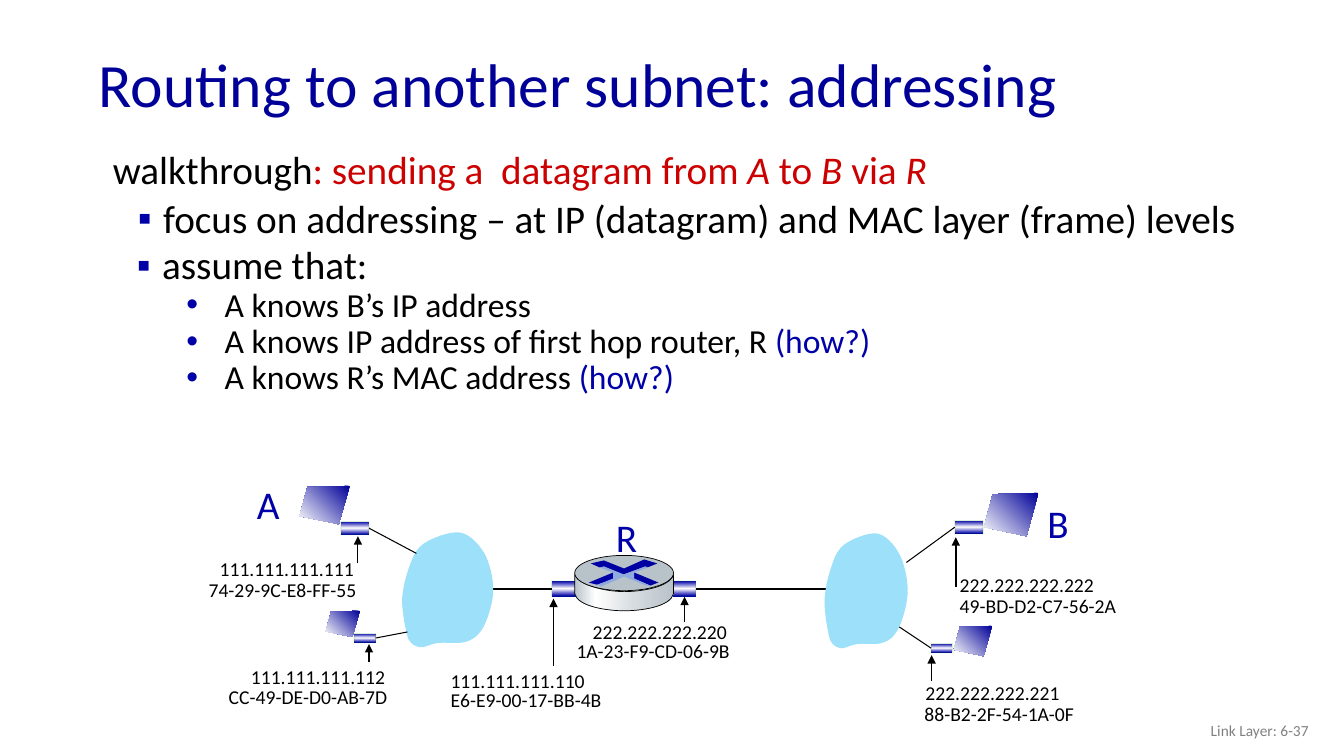
from dataclasses import dataclass

from lxml import etree
from pptx import Presentation
from pptx import util as u
from pptx.dml.color import RGBColor
from pptx.enum import shapes, text
from pptx.oxml.ns import qn


@dataclass(frozen=True)
class Theme:
    font: str = "Calibri"
    title: str = "000099"
    blue: str = "0000A8"
    red: str = "CC0000"
    black: str = "000000"
    grey: str = "808080"
    cloud: str = "9CE0FA"
    steel: str = "B8C2C9"
    pale_steel: str = "D6DCE0"
    router_arrow: str = "0000A3"
    arrow_blue: str = "8FAADC"
    port_edge: str = "008000"
    white: str = "FFFFFF"
    title_size: int = 44
    body_size: int = 28
    sub_size: int = 24
    label_size: int = 14
    footer_size: int = 11


THEME = Theme()
PORT_STOPS = [(0, THEME.blue), (50, THEME.white), (99, THEME.blue)]
SCREEN_STOPS = [(0, THEME.title), (100, THEME.white)]
ROUTER_STOPS = [(0, THEME.steel), (21, THEME.white), (60, THEME.pale_steel), (100, THEME.steel)]

CLOUD = [
    (4.26, 5.36), (4.18, 5.4, 4.14, 5.44, 4.1, 5.52), (4.06, 5.61, 4.01, 5.76, 4, 5.85),
    (3.98, 5.95, 3.99, 6.02, 4, 6.1), (4.01, 6.18, 4.03, 6.28, 4.05, 6.34),
    (4.08, 6.39, 4.11, 6.41, 4.16, 6.42), (4.21, 6.43, 4.26, 6.39, 4.34, 6.38),
    (4.41, 6.37, 4.54, 6.39, 4.61, 6.37), (4.69, 6.35, 4.74, 6.31, 4.79, 6.23),
    (4.83, 6.16, 4.88, 6.01, 4.89, 5.9), (4.9, 5.78, 4.87, 5.63, 4.82, 5.52),
    (4.77, 5.42, 4.68, 5.32, 4.59, 5.29), (4.5, 5.26, 4.34, 5.32, 4.26, 5.36),
]
ROUTER_SIDE = [
    (6.68, 5.7), (6.68, 5.89), (6.65, 6.02, 6.36, 6.06, 6.19, 6.06),
    (6.03, 6.06, 5.73, 6.02, 5.7, 5.89), (5.7, 5.84, 5.7, 5.75, 5.7, 5.7),
    (5.74, 5.81, 6.02, 5.87, 6.19, 5.87), (6.35, 5.87, 6.64, 5.83, 6.68, 5.7),
]
ROUTER_ARROWS = [
    (THEME.router_arrow, [(6.39, 5.55), (6.52, 5.59), (6.42, 5.63), (6.4, 5.62), (6.18, 5.7),
                          (5.99, 5.62), (5.95, 5.63), (5.86, 5.59), (5.99, 5.56), (6.19, 5.64)]),
    (THEME.router_arrow, [(6.29, 5.68), (6.53, 5.78), (6.45, 5.81), (6.29, 5.74)]),
    (THEME.blue, [(6.08, 5.68), (6.08, 5.75), (5.92, 5.8), (5.84, 5.78)]),
    (THEME.arrow_blue, [(5.95, 5.63), (5.99, 5.62), (6.19, 5.7), (6.4, 5.62), (6.43, 5.63),
                        (6.29, 5.68), (6.29, 5.74), (6.45, 5.81), (6.41, 5.81), (6.19, 5.72),
                        (5.96, 5.82), (5.93, 5.8), (6.08, 5.74), (6.08, 5.68)]),
]
SCREEN = [(1, 0), (0.16, 0.03), (0, 0.79), (0.78, 1)]
ADDRESSES = [
    (2.08, 5.48, 1.55, "111.111.111.111"), (1.97, 5.68, 1.68, "74-29-9C-E8-FF-55"),
    (2.39, 6.55, 1.55, "111.111.111.112"), (2.17, 6.75, 1.79, "CC-49-DE-D0-AB-7D"),
    (4.37, 6.59, 1.55, "111.111.111.110"), (4.37, 6.78, 1.71, "E6-E9-00-17-BB-4B"),
    (5.78, 6.1, 1.55, "222.222.222.220"), (5.62, 6.29, 1.73, "1A-23-F9-CD-06-9B"),
    (9.42, 5.63, 1.55, "222.222.222.222"), (9.42, 5.84, 1.77, "49-BD-D2-C7-56-2A"),
    (9.08, 6.71, 1.55, "222.222.222.221"), (9.07, 6.91, 1.7, "88-B2-2F-54-1A-0F"),
]
POINTERS = [
    ((3.66, 6.57), (3.66, 6.39), 0.75), ((3.55, 5.59), (3.55, 5.32), 0.75),
    ((5.49, 6.61), (5.49, 5.94), 0.75), ((6.79, 6.17), (6.79, 5.92), 0.75),
    ((9.48, 5.82), (9.48, 5.33), 1), ((9.24, 6.76), (9.24, 6.5), 1),
]


def rgb(color):
    return RGBColor.from_string(color)


def add_box(page, left, top, width, height, wrap=True, middle=False):
    box = page.shapes.add_textbox(*map(u.Inches, (left, top, width, height)))
    frame = box.text_frame
    frame.word_wrap = wrap
    frame.auto_size = text.MSO_AUTO_SIZE.NONE if wrap else text.MSO_AUTO_SIZE.SHAPE_TO_FIT_TEXT
    frame.vertical_anchor = text.MSO_ANCHOR.MIDDLE if middle else text.MSO_ANCHOR.TOP
    return frame


def add_spans(para, size, *spans):
    for words, color, *italic in spans:
        span = para.add_run()
        span.text = words
        span.font.name = THEME.font
        span.font.size = u.Pt(size)
        span.font.color.rgb = rgb(color)
        span.font.italic = bool(italic)


def set_indent(para, margin, indent, level=0, bullet=None):
    para.level = level
    para.line_spacing = 0.9
    props = para._p.get_or_add_pPr()
    props.set("marL", str(u.Inches(margin)))
    props.set("indent", str(u.Inches(indent)))
    if bullet:
        color = etree.SubElement(props, qn("a:buClr"))
        etree.SubElement(color, qn("a:srgbClr"), val=THEME.blue)
        etree.SubElement(props, qn("a:buFont"), typeface="Arial")
        etree.SubElement(props, qn("a:buChar"), char=bullet)


def add_label(page, left, top, width, height, words, size, color):
    frame = add_box(page, left, top, width, height, wrap=False)
    add_spans(frame.paragraphs[0], size, (words, color))


def set_gradient(shape, stops, angle):
    shape.fill.gradient()
    shape.fill.gradient_angle = 0
    gradient = shape._element.spPr.find(qn("a:gradFill"))
    stop_list = gradient.find(qn("a:gsLst"))
    for stop in list(stop_list):
        stop_list.remove(stop)
    for position, color in stops:
        stop = etree.SubElement(stop_list, qn("a:gs"), pos=str(position * 1000))
        etree.SubElement(stop, qn("a:srgbClr"), val=color)
    gradient.find(qn("a:lin")).set("ang", str(angle * 60000))


def paint(shape, fill, edge=None, width=0.5, angle=0):
    shape.shadow.inherit = False
    if isinstance(fill, str):
        shape.fill.solid()
        shape.fill.fore_color.rgb = rgb(fill)
    else:
        set_gradient(shape, fill, angle)
    if edge:
        shape.line.color.rgb = rgb(edge)
        shape.line.width = u.Pt(width)
    else:
        shape.line.fill.background()


def bend_curves(shape, nodes):
    segments = iter(shape._element.spPr.findall(".//" + qn("a:lnTo")))
    for node in nodes:
        group = [next(segments) for _ in range(len(node) // 2)]
        if len(group) == 3:
            curve = etree.Element(qn("a:cubicBezTo"))
            group[0].addprevious(curve)
            for segment in group:
                curve.append(segment[0])
                segment.getparent().remove(segment)


def add_outline(page, nodes, fill, edge=None, angle=0):
    corners = [(u.Inches(node[i]), u.Inches(node[i + 1]))
               for node in nodes for i in range(0, len(node), 2)]
    builder = page.shapes.build_freeform(*corners[0])
    builder.add_line_segments(corners[1:], close=True)
    outline = builder.convert_to_shape()
    bend_curves(outline, nodes[1:])
    paint(outline, fill, edge, angle=angle)


def add_cloud(page, left, width, drop=0):
    stretch = width / 0.92
    nodes = [tuple(value + drop if i % 2 else left + (value - 3.98) * stretch
                   for i, value in enumerate(node)) for node in CLOUD]
    add_outline(page, nodes, THEME.cloud)


def add_screen(page, left, top, width, height):
    nodes = [(left + x * width, top + y * height) for x, y in SCREEN]
    add_outline(page, nodes, SCREEN_STOPS, angle=135)


def add_port(page, middle_x, middle_y, width, height):
    corner = (middle_x - width / 2, middle_y - height / 2, width, height)
    port = page.shapes.add_shape(shapes.MSO_SHAPE.RECTANGLE, *map(u.Inches, corner))
    paint(port, PORT_STOPS, THEME.port_edge, 0.75, angle=90)
    edge = port.line._ln.find(".//" + qn("a:srgbClr"))
    etree.SubElement(edge, qn("a:alpha"), val="15000")
    return port


def add_line(page, start, end, width, arrow=False):
    line = page.shapes.add_connector(shapes.MSO_CONNECTOR.STRAIGHT, *map(u.Inches, start + end))
    line.line.color.rgb = rgb(THEME.black)
    line.line.width = u.Pt(width)
    if arrow:
        etree.SubElement(line.line._ln, qn("a:tailEnd"), type="triangle")
    etree.SubElement(line._element.spPr, qn("a:effectLst"))
    return line


def add_host(page, screen, port, side, cloud_edge):
    port_shape = add_port(page, *port)
    add_screen(page, *screen)
    add_line(page, port[:2], cloud_edge, 0.75).begin_connect(port_shape, side)


def add_router(page):
    for middle_x in (5.61, 6.76):
        add_port(page, middle_x, 5.84, 0.28, 0.15)
    add_outline(page, ROUTER_SIDE, ROUTER_STOPS, THEME.black)
    top = page.shapes.add_shape(shapes.MSO_SHAPE.OVAL, *map(u.Inches, (5.7, 5.51, 0.98, 0.35)))
    paint(top, THEME.steel, THEME.black)
    for color, nodes in ROUTER_ARROWS:
        add_outline(page, nodes, color)


def add_body(page):
    black, red, blue = THEME.black, THEME.red, THEME.blue
    frame = add_box(page, 1.02, 1.44, 11.85, 1.31)
    para = frame.paragraphs[0]
    set_indent(para, 0.12, -0.12)
    add_spans(para, THEME.body_size, ("walkthrough", black), (": sending a  datagram from ", red),
              ("A", red, True), (" to ", red), ("B", red, True), (" via ", red), ("R", red, True))
    para = frame.add_paragraph()
    set_indent(para, 0.5, -0.25, 1, "▪")
    para.space_before = u.Pt(5)
    add_spans(para, THEME.body_size,
              ("focus on addressing – at IP (datagram) and MAC layer (frame) levels", black))
    frame = add_box(page, 1.01, 2.39, 11.15, 1.73)
    para = frame.paragraphs[0]
    set_indent(para, 0.5, -0.25, 1, "▪")
    add_spans(para, THEME.body_size, ("assume that:", black))
    how = ("(how?)", blue)
    for spans in ([("A knows B’s IP address", black)],
                  [("A knows IP address of first hop router, R ", black), how],
                  [("A knows R’s MAC address ", black), how]):
        para = frame.add_paragraph()
        set_indent(para, 1.12, -0.38, 2, "•")
        add_spans(para, THEME.sub_size, *spans)


def add_network(page):
    add_line(page, (4.7, 5.84), (8.23, 5.84), 1.25)
    add_cloud(page, 3.98, 0.92)
    add_cloud(page, 8.17, 0.84, 0.01)
    add_router(page)
    add_host(page, (2.97, 4.82, 0.5, 0.38), (3.52, 5.24, 0.28, 0.13), 3, (4.13, 5.49))
    add_host(page, (3.23, 6.06, 0.34, 0.26), (3.62, 6.33, 0.21, 0.09), 3, (4.04, 6.27))
    add_host(page, (9.76, 4.89, 0.54, 0.43), (9.61, 5.23, 0.28, 0.13), 1, (8.99, 5.58))
    add_host(page, (9.46, 6.21, 0.38, 0.3), (9.34, 6.43, 0.21, 0.09), 1, (8.92, 6.22))
    for left, top, name in ((2.45, 4.72, "A"), (6.01, 5.04, "R"), (10.29, 4.9, "B")):
        add_label(page, left, top, 0.42, 0.57, name, THEME.body_size, THEME.blue)
    for left, top, width, address in ADDRESSES:
        add_label(page, left, top, width, 0.34, address, THEME.label_size, THEME.black)
    for start, end, width in POINTERS:
        add_line(page, start, end, width, arrow=True)


def main():
    deck = Presentation()
    deck.slide_width, deck.slide_height = u.Inches(13.33), u.Inches(7.5)
    page = deck.slides.add_slide(deck.slide_layouts[6])
    title = add_box(page, 0.88, 0.38, 11.5, 0.98, middle=True).paragraphs[0]
    title.line_spacing = 0.9
    add_spans(title, THEME.title_size, ("Routing to another subnet: addressing", THEME.title))
    footer = add_box(page, 10.08, 7.05, 3, 0.4, middle=True).paragraphs[0]
    footer.alignment = text.PP_ALIGN.RIGHT
    add_spans(footer, THEME.footer_size, ("Link Layer: 6-37", THEME.grey))
    add_body(page)
    add_network(page)
    deck.save("out.pptx")


if __name__ == "__main__":
    main()
